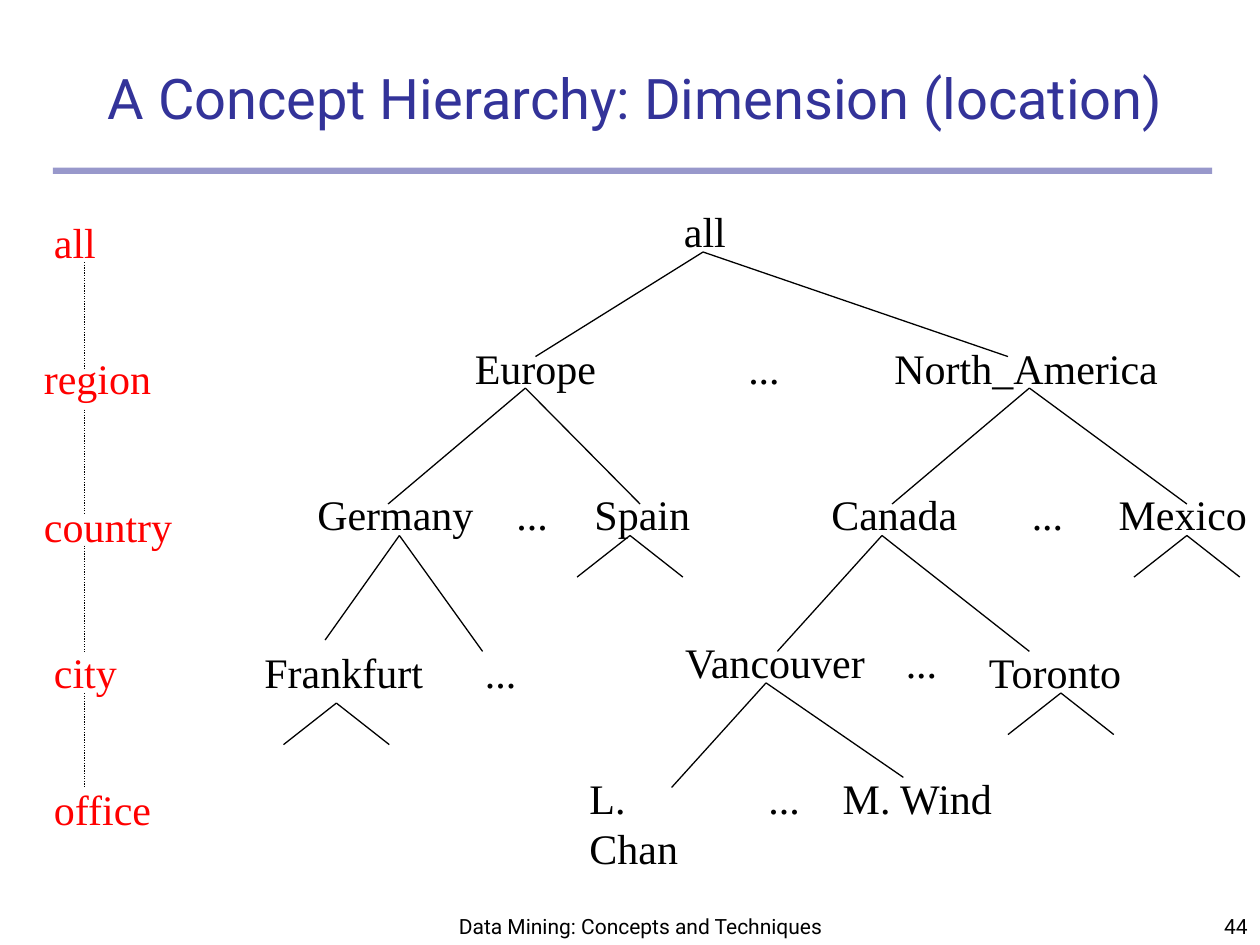
from lxml import etree
from pptx import Presentation
from pptx import util as u
from pptx.dml.color import RGBColor
from pptx.enum import dml, shapes, text
from pptx.oxml import ns

COLORS = {"title": "333399", "rule": "333399", "level": "FF0000", "ink": "000000"}
NODE_HEIGHT = 0.5
STUB_SPREAD, STUB_DROP = 0.42, 0.33

TREE_ROWS = [
    (0, [("all", 3.33, 0.53)]),
    (1.09, [("Europe", 1.67, 1.16), ("...", 3.84, 0.45), ("North_America", 5, 2.29)]),
    (2.25, [("Germany", 0.42, 1.44), ("...", 2, 0.45), ("Spain", 2.62, 0.96),
            ("Canada", 4.5, 1.2), ("...", 6.09, 0.45), ("Mexico", 6.78, 1.22)]),
    (3.42, [("Vancouver", 3.34, 1.66), ("...", 5.09, 0.45)]),
    (3.5, [("Frankfurt", 0, 1.46), ("...", 1.75, 0.45), ("Toronto", 5.75, 1.27)]),
    (4.5, [("L. Chan", 2.58, 1.27), ("...", 4, 0.45), ("M. Wind", 4.59, 1.4)]),
]
BRANCHES = [
    ((3.58, 0.42), (2.25, 1.25), (6, 1.25)),
    ((2.17, 1.5), (1.08, 2.42), (3.08, 2.42)),
    ((6.17, 1.5), (5.08, 2.42), (7.42, 2.42)),
    ((1.17, 2.67), (0.58, 3.5), (1.83, 3.59)),
    ((5, 2.67), (4.17, 3.59), (6.17, 3.59)),
    ((4.08, 3.84), (3.33, 4.67), (5.17, 4.59)),
]
STUBS = [(3, 2.67), (7.42, 2.67), (0.67, 4), (6.42, 3.92)]
LEVELS = [("all", 0.08, 0, 0.53), ("region", 0, 1.08, 1.05),
          ("country", 0, 2.25, 1.22), ("city", 0.08, 3.41, 0.7),
          ("office", 0.08, 4.5, 0.97)]
LEVEL_LINKS = [(0.41, 1.25), (1.58, 2.41), (2.66, 3.5), (3.83, 4.58)]


def apply(target, values):
    for name, value in values.items():
        setattr(target, name, value)


def write(frame, words, font, size, color, align, frame_format):
    apply(frame, frame_format)
    paragraph = frame.paragraphs[0]
    paragraph.text = words
    paragraph.alignment = align
    run_font = paragraph.runs[0].font
    apply(run_font, {"name": font, "size": u.Pt(size)})
    run_font.color.rgb = RGBColor.from_string(COLORS[color])


def add_node(slide, words, box, color):
    node = slide.shapes.add_textbox(*map(u.Inches, box))
    write(node.text_frame, words, "Times New Roman", 24, color, text.PP_ALIGN.LEFT,
          {"word_wrap": False, "auto_size": text.MSO_AUTO_SIZE.SHAPE_TO_FIT_TEXT})


def add_link(slide, start, end, dash=None):
    link = slide.shapes.add_connector(
        shapes.MSO_CONNECTOR.STRAIGHT, *map(u.Inches, (*start, *end)))
    link.line.color.rgb = RGBColor.from_string(COLORS["ink"])
    apply(link.line, {"width": u.Pt(0.75), "dash_style": dash})
    etree.SubElement(link._element.spPr, ns.qn("a:effectLst"))


def add_heading(slide, box):
    left, top, width, height = box
    title = slide.shapes.title
    apply(title, {"left": u.Inches(left + 0.25), "top": u.Inches(top),
                  "width": u.Inches(8.75), "height": u.Inches(0.67)})
    write(title.text_frame, "A Concept Hierarchy: Dimension (location)",
          "Roboto", 32, "title", text.PP_ALIGN.CENTER,
          {"word_wrap": True, "auto_size": text.MSO_AUTO_SIZE.NONE,
           "vertical_anchor": text.MSO_ANCHOR.BOTTOM})
    rule = slide.shapes.add_shape(
        shapes.MSO_SHAPE.RECTANGLE,
        *map(u.Inches, (left, top + height - 0.05, width, 0.05)))
    rule.shadow.inherit = False
    rule.line.fill.background()
    rule.fill.solid()
    rule.fill.fore_color.rgb = RGBColor.from_string(COLORS["rule"])
    tint = rule._element.spPr.find(ns.qn("a:solidFill"))[0]
    etree.SubElement(tint, ns.qn("a:alpha"), val="50000")


def add_levels(slide, box):
    left, top = box[:2]
    for level, x, y, width in LEVELS:
        add_node(slide, level, (left + x, top + y, width, NODE_HEIGHT), "level")
    axis = left + 0.42
    for start, end in LEVEL_LINKS:
        add_link(slide, (axis, top + start), (axis, top + end),
                 dml.MSO_LINE.ROUND_DOT)


def add_tree(slide, box):
    left, top = box[:2]
    for y, places in TREE_ROWS:
        for place, x, width in places:
            add_node(slide, place, (left + x, top + y, width, NODE_HEIGHT), "ink")
    stubs = [((x, y), (x - STUB_SPREAD, y + STUB_DROP), (x + STUB_SPREAD, y + STUB_DROP))
             for x, y in STUBS]
    for (apex_x, apex_y), *feet in BRANCHES + stubs:
        for x, y in feet:
            add_link(slide, (left + apex_x, top + apex_y), (left + x, top + y))


def add_footer(slide, box):
    left, top, width, height = box
    course_box = (left, top, 3.17, height)
    number_box = (left + width - 2.08, top + 0.08, 2.08, height - 0.08)
    for words, place, align in (
            ("Data Mining: Concepts and Techniques", course_box, text.PP_ALIGN.CENTER),
            ("44", number_box, text.PP_ALIGN.RIGHT)):
        note = slide.shapes.add_textbox(*map(u.Inches, place))
        write(note.text_frame, words, "Roboto", 12, "ink", align,
              {"word_wrap": True, "vertical_anchor": text.MSO_ANCHOR.BOTTOM})


def main():
    deck = Presentation()
    apply(deck, {"slide_width": u.Inches(10), "slide_height": u.Inches(7.5)})
    slide = deck.slides.add_slide(deck.slide_layouts.get_by_name("Title Only"))
    add_heading(slide, (0.42, 0.42, 9.2, 0.96))
    add_footer(slide, (3.5, 6.92, 6.5, 0.58))
    add_tree(slide, (2, 1.58, 8, 5))
    add_levels(slide, (0.25, 1.67, 1.22, 5))
    deck.save("out.pptx")


if __name__ == "__main__":
    main()
